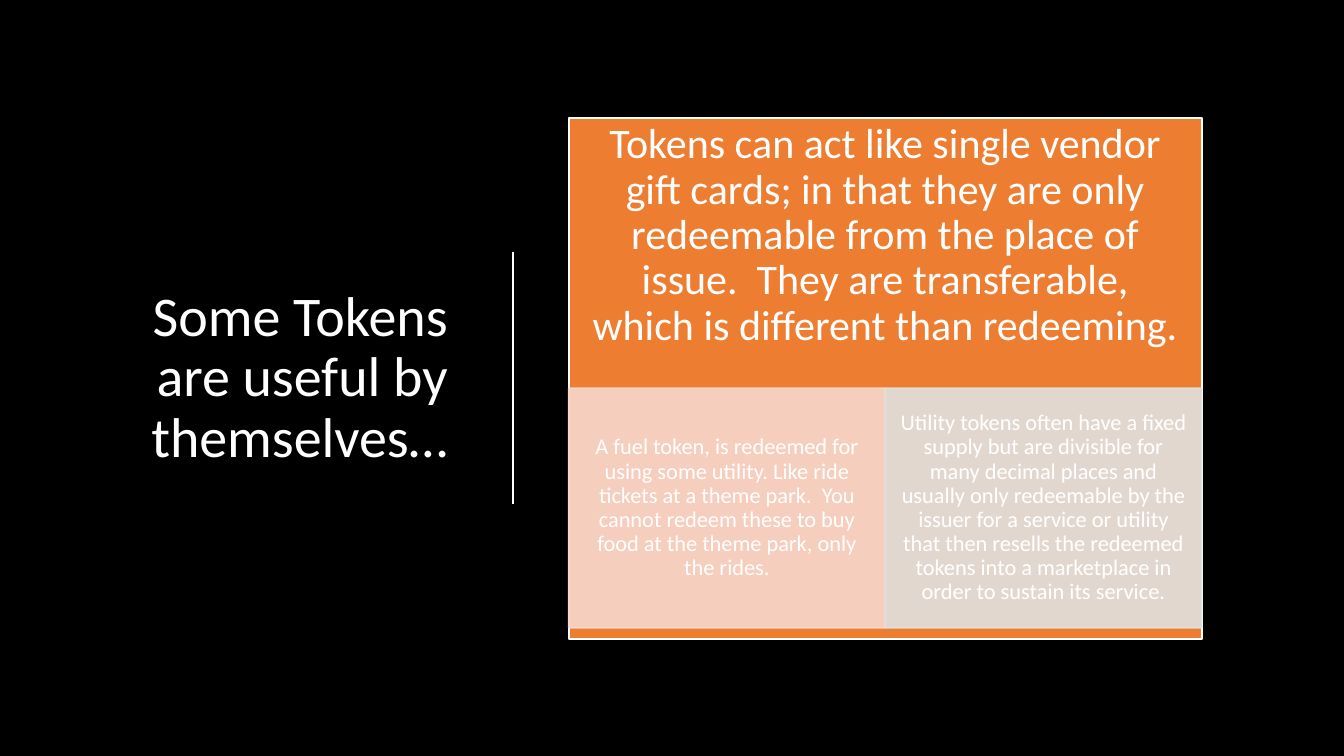
from lxml.etree import SubElement
from pptx import Presentation
from pptx.dml.color import RGBColor
from pptx.enum.shapes import MSO_CONNECTOR, MSO_SHAPE
from pptx.enum.text import MSO_ANCHOR, MSO_AUTO_SIZE, PP_ALIGN
from pptx.oxml.ns import qn
from pptx.util import Pt

EMU_PER_PX = 9144
WHITE = "FFFFFF"
ORANGE = "ED7D31"
PANEL_LEFT, PANEL_TOP, PANEL_WIDTH, PANEL_HEIGHT = 564, 117, 628, 517
TILE_TOP, TILE_HEIGHT = 385, 238
TILE_OPACITY = 90
TITLE = "Some Tokens are useful by themselves…"
HEADLINE = (
    "Tokens can act like single vendor gift cards; in that they are only "
    "redeemable from the place of issue.  They are transferable, "
    "which is different than redeeming."
)
TILES = [
    ("F8D7CE",
     "A fuel token, is redeemed for using some utility. Like ride tickets at a "
     "theme park.  You cannot redeem these to buy food at the theme park, only "
     "the rides."),
    ("E1E1E1",
     "Utility tokens often have a fixed supply but are divisible for many decimal "
     "places and usually only redeemable by the issuer for a service or utility "
     "that then resells the redeemed tokens into a marketplace in order to "
     "sustain its service."),
]


def px(value):
    return value * EMU_PER_PX


def color(hex_value):
    return RGBColor.from_string(hex_value)


def apply_format(target, values):
    for name, value in values.items():
        setattr(target, name, value)


def place(shape, left, top, width, height):
    apply_format(shape, {"left": px(left), "top": px(top),
                         "width": px(width), "height": px(height)})


def write_text(shape, text, size, alignment, margins):
    left, top, right, bottom = map(px, margins)
    frame = shape.text_frame
    apply_format(frame, {
        "word_wrap": True, "auto_size": MSO_AUTO_SIZE.NONE,
        "vertical_anchor": MSO_ANCHOR.MIDDLE,
        "margin_left": left, "margin_top": top,
        "margin_right": right, "margin_bottom": bottom,
    })
    paragraph = frame.paragraphs[0]
    apply_format(paragraph, {"alignment": alignment, "line_spacing": 0.9})
    run = paragraph.add_run()
    run.text = text
    apply_format(run.font, {"name": "Calibri", "size": Pt(size)})
    run.font.color.rgb = color(WHITE)


def add_rectangle(slide, box, fill, line, line_width):
    shape = slide.shapes.add_shape(MSO_SHAPE.RECTANGLE, *map(px, box))
    shape.shadow.inherit = False
    shape.fill.solid()
    shape.fill.fore_color.rgb = color(fill)
    shape.line.color.rgb = color(line)
    shape.line.width = Pt(line_width)
    return shape


def set_opacity(shape, percent):
    for element in shape.element.spPr.iter(qn("a:srgbClr")):
        SubElement(element, qn("a:alpha"), val=str(percent * 1000))


def add_title(slide):
    title = slide.shapes.title
    place(title, 92, 117, 362, 517)
    write_text(title, TITLE, 40, PP_ALIGN.RIGHT, (10, 5, 10, 5))


def add_divider(slide, x, top, bottom):
    divider = slide.shapes.add_connector(
        MSO_CONNECTOR.STRAIGHT, px(x), px(top), px(x), px(bottom))
    divider.line.color.rgb = color(WHITE)
    divider.line.width = Pt(1.25)
    SubElement(divider.element.spPr, qn("a:effectLst"))


def add_panel(slide):
    add_rectangle(slide, (PANEL_LEFT, PANEL_TOP, PANEL_WIDTH, PANEL_HEIGHT),
                  ORANGE, WHITE, 1.5)
    headline = slide.shapes.add_textbox(
        *map(px, (PANEL_LEFT, PANEL_TOP, PANEL_WIDTH, 279)))
    write_text(headline, HEADLINE, 30, PP_ALIGN.CENTER, (23, 0, 23, 45))


def add_tiles(slide):
    width = PANEL_WIDTH // len(TILES)
    for index, (fill, text) in enumerate(TILES):
        box = (PANEL_LEFT + index * width, TILE_TOP, width, TILE_HEIGHT)
        tile = add_rectangle(slide, box, fill, fill, 1)
        set_opacity(tile, TILE_OPACITY)
        write_text(tile, text, 16, PP_ALIGN.CENTER, (12, 2, 12, 2))


def main():
    presentation = Presentation()
    apply_format(presentation, {"slide_width": px(1333), "slide_height": px(750)})
    slide = presentation.slides.add_slide(presentation.slide_layouts[5])
    slide.background.fill.solid()
    slide.background.fill.fore_color.rgb = color("000000")
    add_title(slide)
    add_divider(slide, 509, 250, 500)
    add_panel(slide)
    add_tiles(slide)
    presentation.save("out.pptx")


if __name__ == "__main__":
    main()
